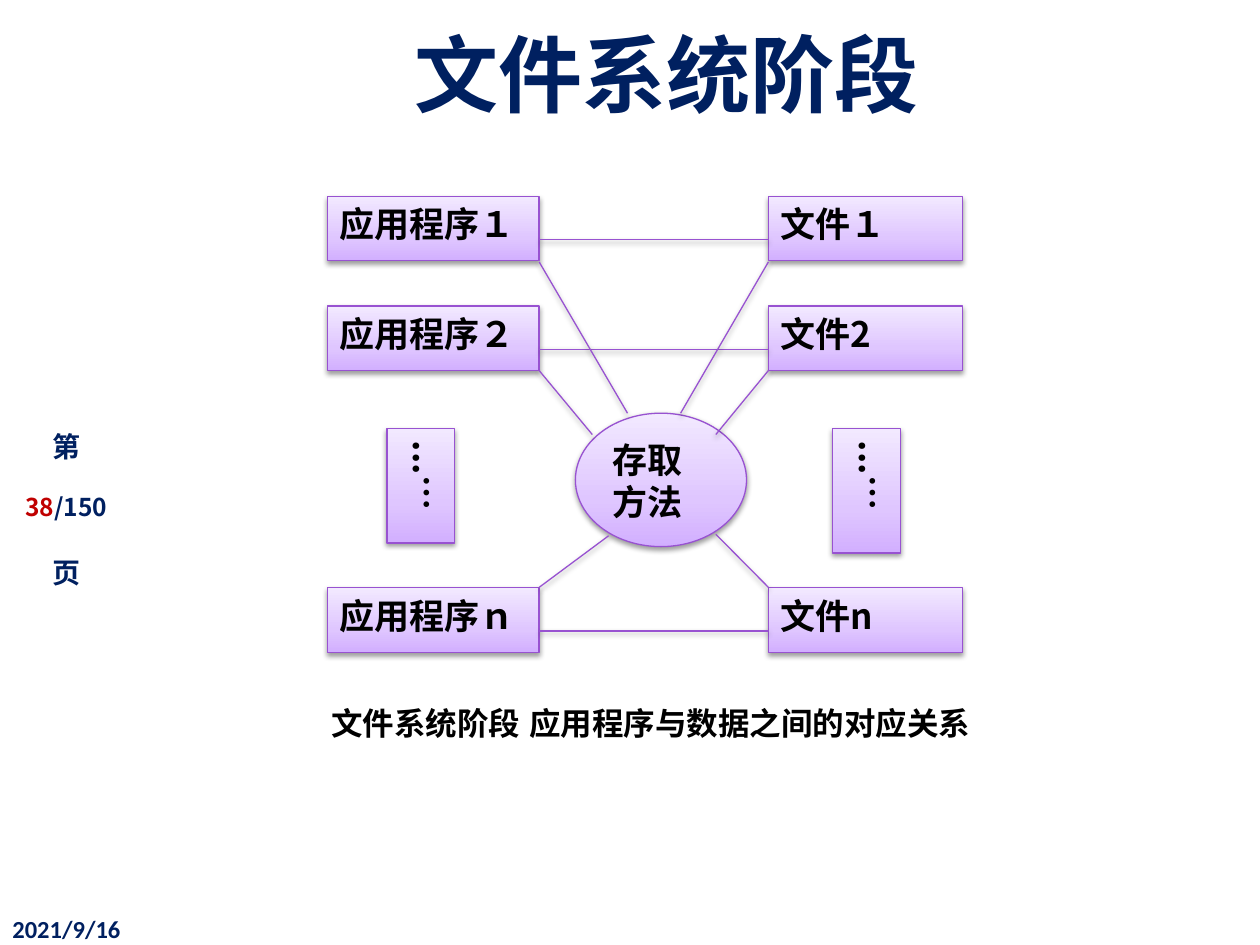
"""Build the slide on how programs map to data in the file system stage."""
from lxml import etree
from pptx import Presentation
from pptx.dml.color import RGBColor
from pptx.enum.shapes import MSO_CONNECTOR, MSO_SHAPE
from pptx.enum.text import MSO_ANCHOR, PP_ALIGN
from pptx.oxml import parse_xml
from pptx.oxml.ns import qn
from pptx.util import Cm, Pt

RECT, OVAL, LINE = MSO_SHAPE.RECTANGLE, MSO_SHAPE.OVAL, MSO_CONNECTOR.STRAIGHT
LEFT, MID, JUST = PP_ALIGN.LEFT, PP_ALIGN.CENTER, PP_ALIGN.JUSTIFY
TOP, CENTER = MSO_ANCHOR.TOP, MSO_ANCHOR.MIDDLE

NOTO, NAVY, RED, BLACK, EDGE = "Noto Sans CJK SC", "002060", "C00000", "000000", "9852D1"
STOPS = [(0, "D2AFFF"), (35, "DFC6FF"), (100, "F2E9FF")]
NS = 'xmlns:a="http://schemas.openxmlformats.org/drawingml/2006/main"'
SHADE = (f'<a:effectLst {NS}><a:outerShdw blurRad="39370" dist="20320" dir="5400000" '
         'rotWithShape="0"><a:srgbClr val="000000"><a:alpha val="38000"/></a:srgbClr>'
         '</a:outerShdw></a:effectLst>')

ROWS = [(3.96, "应用程序１", "文件１", LEFT),
        (6.17, "应用程序２", "文件2", LEFT),
        (11.85, "应用程序ｎ", "文件n", JUST)]
APP_X, APP_W, FILE_X, FILE_W, BOX_H, DROP = 6.6, 4.27, 15.49, 3.91, 1.3, 0.87
APP_END = APP_X + APP_W
HUB = (11.6, 8.33, 3.45, 2.69)
DOTS = [(7.8, 8.64, 1.37, 2.31), (16.79, 8.64, 1.37, 2.51)]
SPOKES = [(5.28, 12.65, 13.72, 8.33, 8.33),
          (7.47, 11.94, 14.43, 8.76, 8.76),
          (11.84, 12.27, 14.43, 10.8, 10.77)]
NOTES = [
    ((0, 7.52, 2.67, 4.8), [[("第", 16, NOTO, NAVY)],
                            [("38", 14, NOTO, RED), ("/150", 14, NOTO, NAVY)],
                            [("页", 16, NOTO, NAVY)]],
     {"alignment": MID, "line_spacing": 2.0}, {"vertical_anchor": CENTER}),
    ((6.43, 14.07, 13.79, 1.02),
     [[("文件系统阶段 应用程序与数据之间的对应关系", 18, "Arial", BLACK)]],
     {}, {"word_wrap": False}),
    ((2.74, 0.53, 21.39, 1.9), [[("文件系统阶段", 48, "Roboto", NAVY)]],
     {"alignment": MID}, {"vertical_anchor": CENTER}),
    ((0, 18.31, 2.74, 0.74), [[("2021/9/16", 14, "Calibri", NAVY)]], {}, {}),
]


def color(code):
    return RGBColor.from_string(code)


def put(thing, values):
    for name, value in values.items():
        setattr(thing, name, value)


def write(frame, paras, form, body):
    put(frame, {"word_wrap": True, "vertical_anchor": TOP, **body})
    for i, runs in enumerate(paras):
        para = frame.add_paragraph() if i else frame.paragraphs[0]
        put(para, {"alignment": LEFT, **form})
        for text, size, face, tint in runs:
            run = para.add_run()
            run.text = text
            put(run.font, {"size": Pt(size), "name": face, "bold": True})
            run.font.color.rgb = color(tint)
            props = run.font._element
            etree.SubElement(props, qn("a:ea")).set("typeface", face)


def dress(item, filled):
    props = item._element.spPr
    if filled:
        stops = "".join(f'<a:gs pos="{at * 1000}"><a:srgbClr val="{tint}"/></a:gs>'
                        for at, tint in STOPS)
        props.append(parse_xml(f'<a:gradFill {NS} rotWithShape="1"><a:gsLst>{stops}</a:gsLst>'
                               '<a:lin ang="16200000" scaled="0"/></a:gradFill>'))
    item.line.color.rgb = color(EDGE)
    item.line.width = Pt(0.75)
    props.append(parse_xml(SHADE))


def block(slide, kind, spot, text, form):
    item = slide.shapes.add_shape(kind, *map(Cm, spot))
    dress(item, True)
    write(item.text_frame, [[(text, 20, NOTO, BLACK)]], form, {})
    return item


def link(slide, *ends):
    dress(slide.shapes.add_connector(LINE, *map(Cm, ends)), False)


def main():
    deck = Presentation()
    put(deck, {"slide_width": Cm(25.4), "slide_height": Cm(19.05)})
    slide = deck.slides.add_slide(deck.slide_layouts[6])
    for top, app, file, align in ROWS:
        block(slide, RECT, (APP_X, top, APP_W, BOX_H), app, {"alignment": align})
        block(slide, RECT, (FILE_X, top, FILE_W, BOX_H), file, {})
        link(slide, APP_END, top + DROP, FILE_X, top + DROP)
    block(slide, OVAL, HUB, "存取方法", {})
    for top, near, far, low, end in SPOKES:
        link(slide, APP_END, top, near, low)
        link(slide, FILE_X, top, far, end)
    for spot in DOTS:
        item = block(slide, RECT, spot, "...…", {"space_before": Pt(10)})
        item.text_frame._txBody.bodyPr.set("vert", "eaVert")
    for spot, paras, form, body in NOTES:
        write(slide.shapes.add_textbox(*map(Cm, spot)).text_frame, paras, form, body)
    deck.save("out.pptx")


if __name__ == "__main__":
    main()
